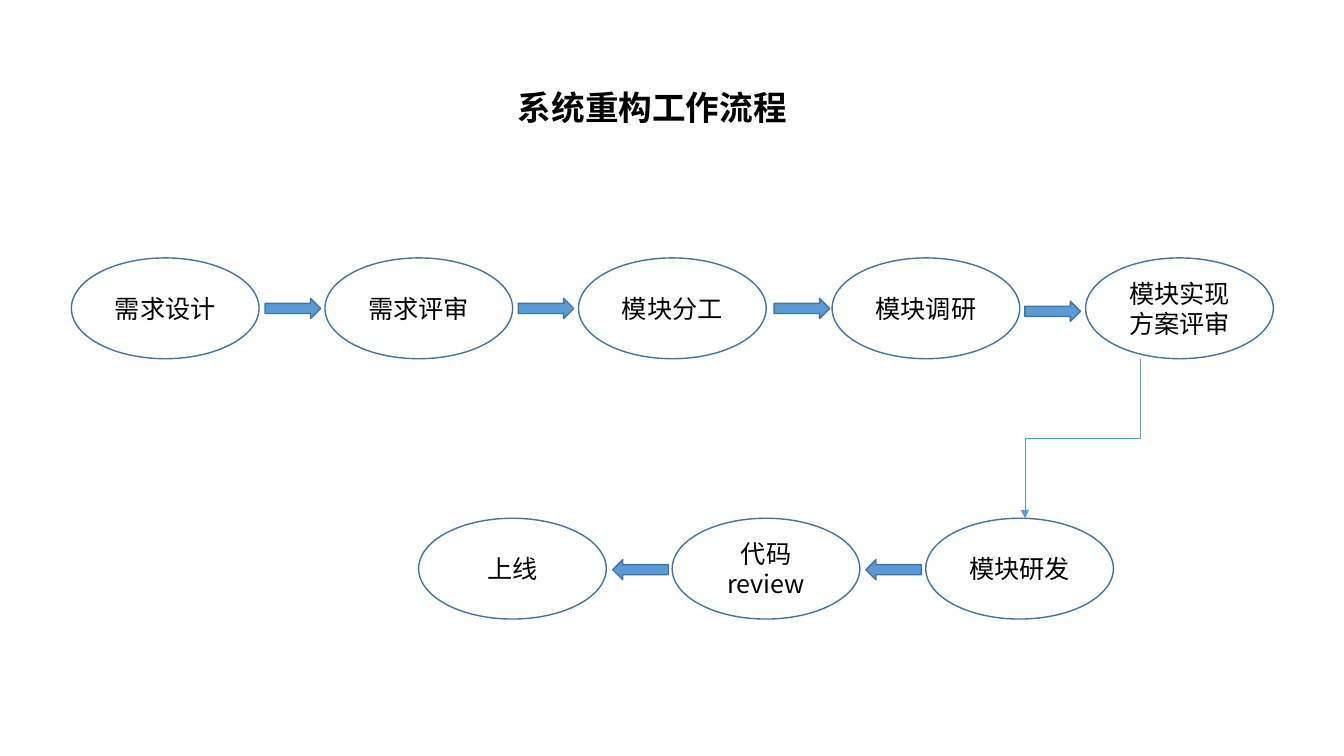
from dataclasses import dataclass

from lxml.etree import SubElement
from pptx import Presentation
from pptx.dml.color import RGBColor
from pptx.enum.shapes import MSO_CONNECTOR as Connector, MSO_SHAPE as Shape
from pptx.enum.text import MSO_ANCHOR as Anchor, MSO_AUTO_SIZE as AutoSize, PP_ALIGN as Align
from pptx.oxml.ns import qn
from pptx.util import Cm, Pt

COLOURS = {"text": "000000", "paper": "FFFFFF", "blue": "5B9BD5", "outline": "43739E"}
FONT = "Noto Sans CJK SC"
STEP_WIDTH, STEP_HEIGHT, STEP_PITCH = 4.73, 2.54, 6.39
ARROW_WIDTH, ARROW_HEIGHT = 1.4, 0.51


@dataclass(frozen=True)
class StepRow:
    left: float
    top: float
    labels: tuple[str, ...]


@dataclass(frozen=True)
class BlockArrow:
    left: float
    top: float
    rotation: int = 0


STEP_ROWS = (
    StepRow(1.8, 6.5, ("需求设计", "需求评审", "模块分工", "模块调研", "模块实现方案评审")),
    StepRow(10.55, 13.06, ("上线", "代码review", "模块研发")),
)
BLOCK_ARROWS = (
    BlockArrow(6.68, 7.52),
    BlockArrow(13.06, 7.52),
    BlockArrow(19.51, 7.52),
    BlockArrow(25.83, 7.59),
    BlockArrow(15.44, 14.1, 180),
    BlockArrow(21.82, 14.1, 180),
)


def colour(name: str) -> RGBColor:
    return RGBColor.from_string(COLOURS[name])


def add_run(paragraph, text: str, size: int, bold: bool = False) -> None:
    run = paragraph.add_run()
    run.text = text
    font = run.font
    font.size, font.bold, font.name = Pt(size), bold, FONT
    font.color.rgb = colour("text")
    east_asian = SubElement(run._r.get_or_add_rPr(), qn("a:ea"))
    east_asian.set("typeface", FONT)


def add_block(slide, kind: Shape, left: float, top: float, width: float, height: float, fill: str):
    shape = slide.shapes.add_shape(kind, Cm(left), Cm(top), Cm(width), Cm(height))
    shape.shadow.inherit = False
    shape.fill.solid()
    shape.fill.fore_color.rgb = colour(fill)
    shape.line.color.rgb = colour("outline")
    shape.line.width = Pt(1)
    return shape


def add_step(slide, label: str, left: float, top: float) -> None:
    step = add_block(slide, Shape.OVAL, left, top, STEP_WIDTH, STEP_HEIGHT, "paper")
    frame = step.text_frame
    frame.word_wrap = True
    frame.vertical_anchor = Anchor.MIDDLE
    paragraph = frame.paragraphs[0]
    paragraph.alignment = Align.CENTER
    add_run(paragraph, label, 18)


def add_block_arrow(slide, arrow: BlockArrow) -> None:
    shape = add_block(slide, Shape.RIGHT_ARROW, arrow.left, arrow.top,
                      ARROW_WIDTH, ARROW_HEIGHT, "blue")
    shape.rotation = arrow.rotation


def add_row_link(slide, start: tuple[float, float], end: tuple[float, float]) -> None:
    """Elbow that leaves downwards: a level elbow turned by 90 degrees about its centre."""
    centre_x, centre_y = (start[0] + end[0]) / 2, (start[1] + end[1]) / 2
    half_length, half_shift = (end[1] - start[1]) / 2, (start[0] - end[0]) / 2
    link = slide.shapes.add_connector(
        Connector.ELBOW,
        Cm(centre_x - half_length), Cm(centre_y - half_shift),
        Cm(centre_x + half_length), Cm(centre_y + half_shift))
    link.rotation = 90
    link.line.color.rgb = colour("blue")
    link.line.width = Pt(0.5)
    SubElement(link.line._get_or_add_ln(), qn("a:tailEnd")).set("type", "triangle")
    SubElement(link._element.spPr, qn("a:effectLst"))


def set_title(slide, text: str) -> None:
    title = slide.shapes.title
    title.left, title.top, title.width, title.height = Cm(12.8), Cm(2.06), Cm(7.34), Cm(1.27)
    frame = title.text_frame
    frame.word_wrap = False
    frame.auto_size = AutoSize.SHAPE_TO_FIT_TEXT
    frame.vertical_anchor = Anchor.TOP
    paragraph = frame.paragraphs[0]
    paragraph.alignment = Align.LEFT
    add_run(paragraph, text, 24, bold=True)


def main() -> None:
    presentation = Presentation()
    presentation.slide_width, presentation.slide_height = Cm(33.87), Cm(19.05)
    slide = presentation.slides.add_slide(presentation.slide_layouts[5])
    set_title(slide, "系统重构工作流程")
    for row in STEP_ROWS:
        for index, label in enumerate(row.labels):
            add_step(slide, label, row.left + index * STEP_PITCH, row.top)
    for arrow in BLOCK_ARROWS:
        add_block_arrow(slide, arrow)
    add_row_link(slide, (28.75, 9.04), (25.83, 13.06))
    presentation.save("out.pptx")


if __name__ == "__main__":
    main()
